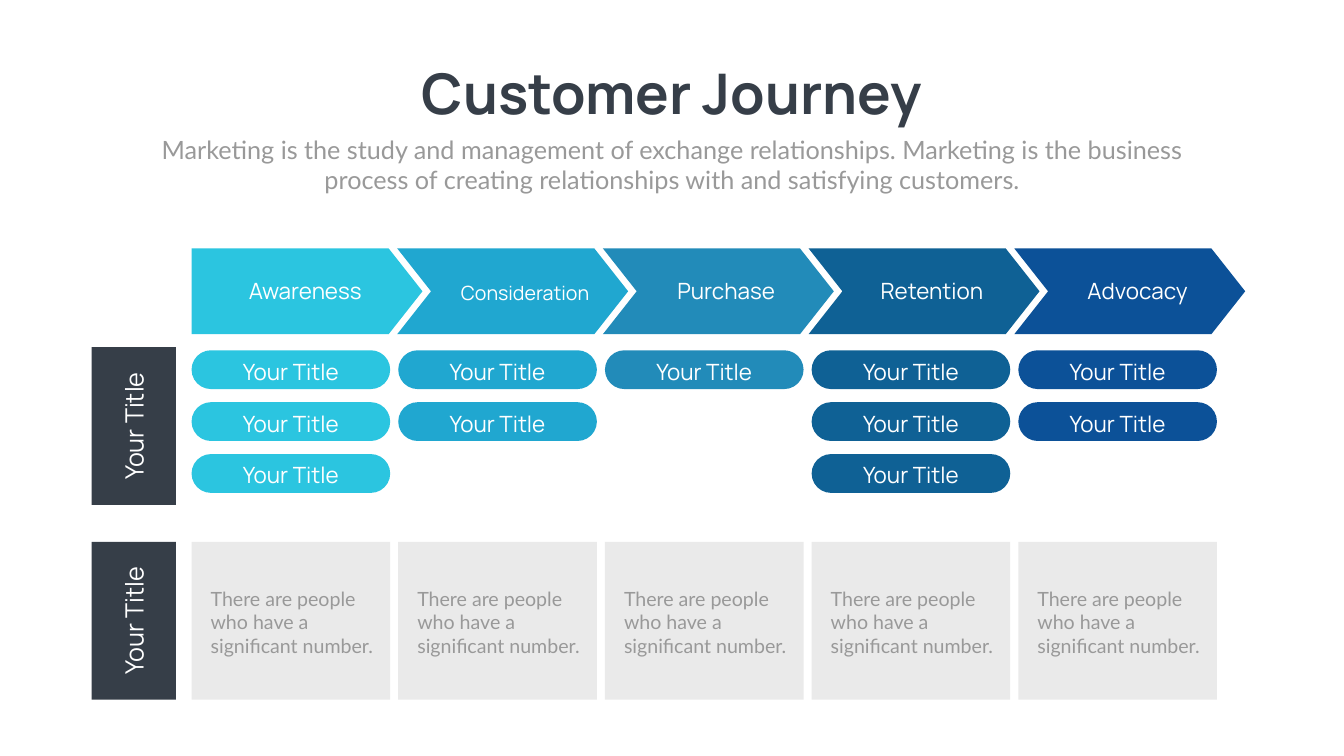
import pptx
import pptx.util
import pptx.dml.color
import pptx.enum.shapes
import pptx.enum.text

WIDE, HIGH = 26.66, 15
DARK, GREY, PALE, WHITE = "363E48", "999999", "EAEAEA", "FFFFFF"
TITLE = "Customer Journey"
INTRO = ("Marketing is the study and management of exchange relationships. "
         "Marketing is the business process of creating relationships "
         "with and satisfying customers.")
LABEL = "Your Title"
NOTE = "There are people who have a significant number."
STAGES = [
    {"name": "Awareness", "fill": "2BC5E0", "pills": 3, "size": 32, "shift": -0.19},
    {"name": "Consideration", "fill": "20A7D0", "pills": 2, "size": 28, "shift": 0.09},
    {"name": "Purchase", "fill": "228BB9", "pills": 1, "size": 32, "shift": 0},
    {"name": "Retention", "fill": "0F6195", "pills": 3, "size": 32, "shift": 0},
    {"name": "Advocacy", "fill": "0C5198", "pills": 2, "size": 32, "shift": 0},
]

LEFT, STEP, CELL = 3.8, 4.1, 3.94
ARROW_STEP, ARROW_TOP, ARROW_WIDE, ARROW_HIGH, TIP = 4.08, 4.93, 4.58, 1.7, 0.67
PILL_TOP, PILL_STEP, PILL_HIGH = 6.95, 1.03, 0.77
SIDE_LEFT, SIDE_WIDE, BAND_HIGH = 1.82, 1.67, 3.13
BANDS = [6.89, 10.75]

KIND = pptx.enum.shapes.MSO_SHAPE
ALIGN = pptx.enum.text.PP_ALIGN


def color(code):
    return pptx.dml.color.RGBColor.from_string(code)


def inches(*sizes):
    return [pptx.util.Inches(size) for size in sizes]


def add_block(slide, kind, box, fill, bend=None):
    shape = slide.shapes.add_shape(kind, *inches(*box))
    shape.shadow.inherit = False
    shape.fill.solid()
    shape.fill.fore_color.rgb = color(fill)
    shape.line.fill.background()
    if bend is not None:
        shape.adjustments[0] = bend


def add_text(slide, text, box, size, tint=WHITE, face="Manrope",
             align=ALIGN.CENTER, bold=False, turn=0):
    shape = slide.shapes.add_textbox(*inches(*box))
    shape.rotation = turn
    frame = shape.text_frame
    frame.word_wrap = True
    line = frame.paragraphs[0]
    line.alignment = align
    run = line.add_run()
    run.text = text
    style = {"name": face, "size": pptx.util.Pt(size), "bold": bold}
    for key, value in style.items():
        setattr(run.font, key, value)
    run.font.color.rgb = color(tint)


def add_stage(slide, index, stage):
    left = LEFT + index * ARROW_STEP
    kind = KIND.CHEVRON if index else KIND.PENTAGON
    add_block(slide, kind, (left, ARROW_TOP, ARROW_WIDE, ARROW_HIGH),
              stage["fill"], TIP / ARROW_HIGH)
    top = 5.45 if stage["size"] == 32 else 5.52
    add_text(slide, stage["name"], (left + stage["shift"], top, 4.89, 0.64),
             stage["size"])

    left = LEFT + index * STEP
    for row in range(stage["pills"]):
        top = PILL_TOP + row * PILL_STEP
        add_block(slide, KIND.ROUNDED_RECTANGLE, (left, top, CELL, PILL_HIGH),
                  stage["fill"], 0.5)
        add_text(slide, LABEL, (left + 0.16, top + 0.1, 3.62, 0.64), 32)

    add_block(slide, KIND.RECTANGLE, (left, BANDS[1], CELL, BAND_HIGH), PALE)
    add_text(slide, NOTE, (left + 0.28, BANDS[1] + 0.84, 3.43, 1.51), 28,
             GREY, "Lato", ALIGN.LEFT)


def main():
    deck = pptx.Presentation()
    deck.slide_width, deck.slide_height = inches(WIDE, HIGH)
    slide = deck.slides.add_slide(deck.slide_layouts[6])

    add_text(slide, TITLE, ((WIDE - 10.96) / 2, 1.12, 10.96, 1.45), 80, DARK, bold=True)
    add_text(slide, INTRO, ((WIDE - 20.82) / 2, 2.61, 20.82, 1.31), 36, GREY, "Lato")

    for top in BANDS:
        add_block(slide, KIND.RECTANGLE, (SIDE_LEFT, top, SIDE_WIDE, BAND_HIGH), DARK)
        long, thick = 3.71, 0.71
        left = SIDE_LEFT + (SIDE_WIDE - long) / 2
        add_text(slide, LABEL, (left, top + (BAND_HIGH - thick) / 2, long, thick),
                 36, turn=270)

    for index, stage in enumerate(STAGES):
        add_stage(slide, index, stage)

    deck.save("out.pptx")


if __name__ == "__main__":
    main()
